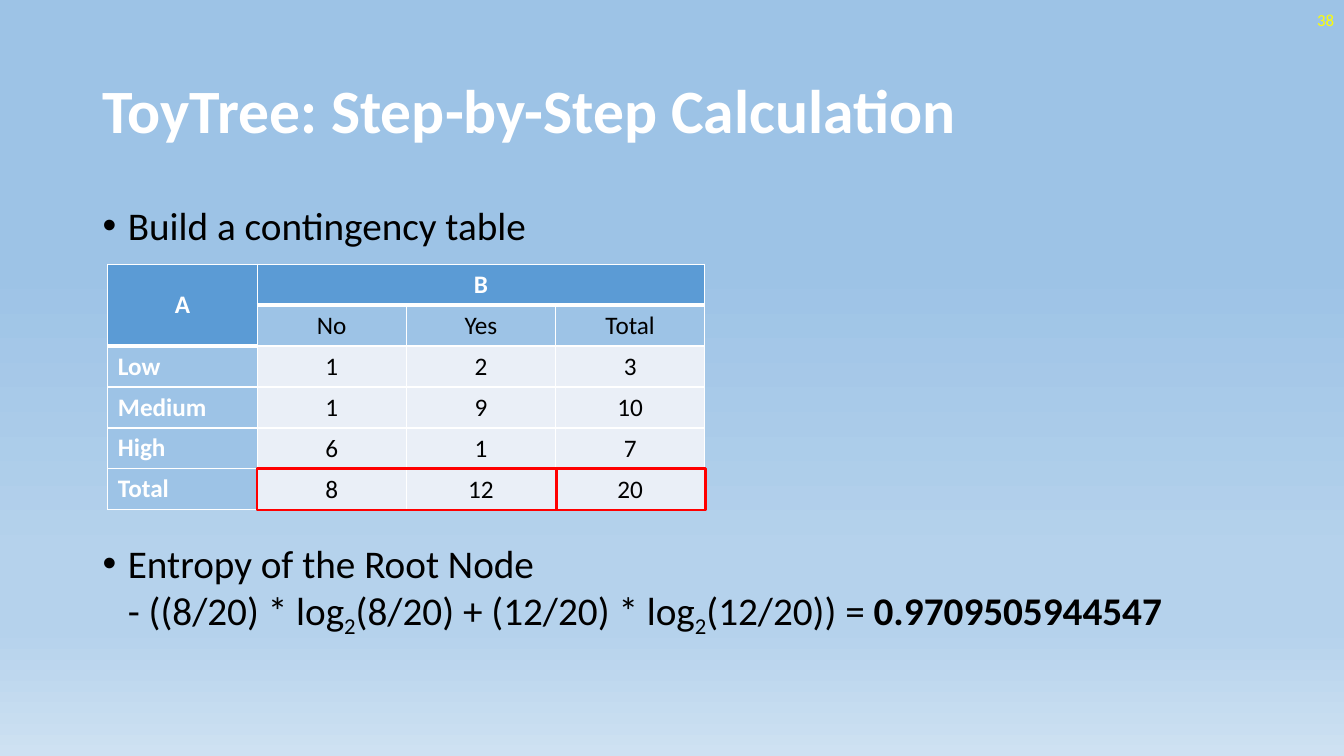
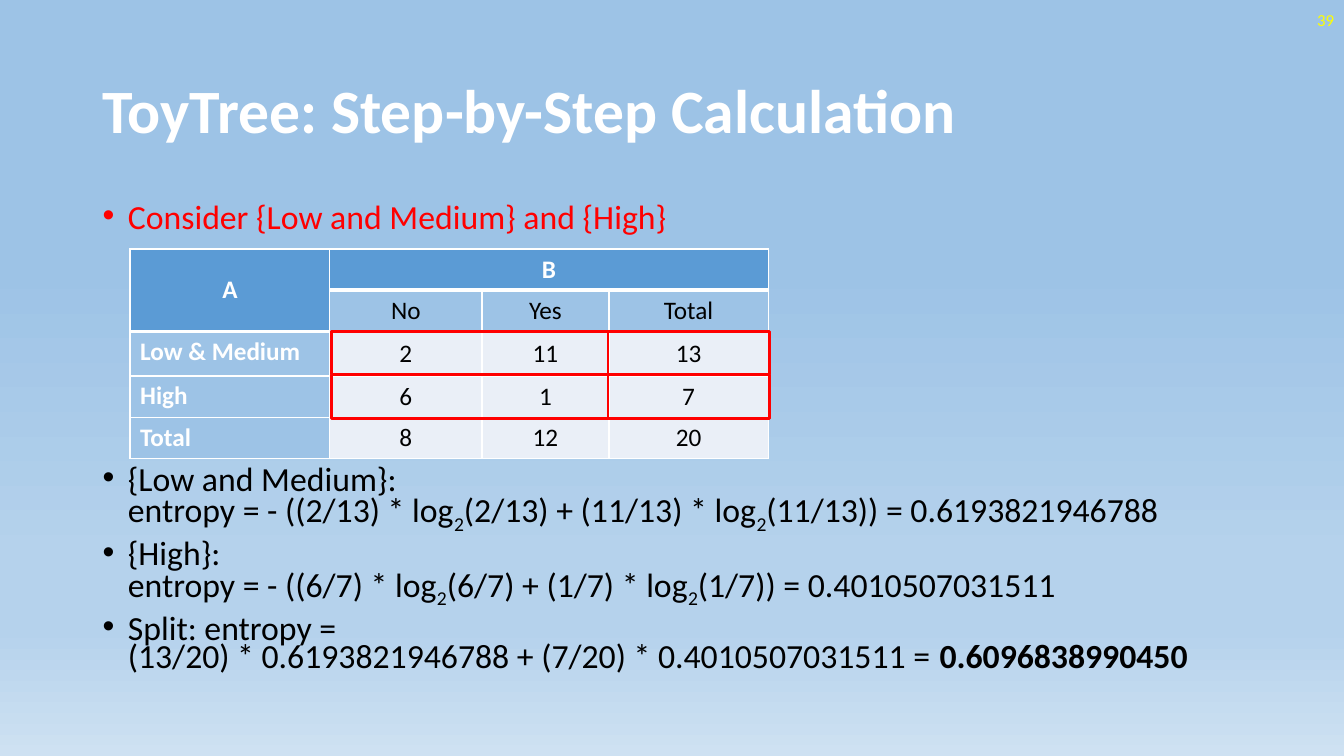
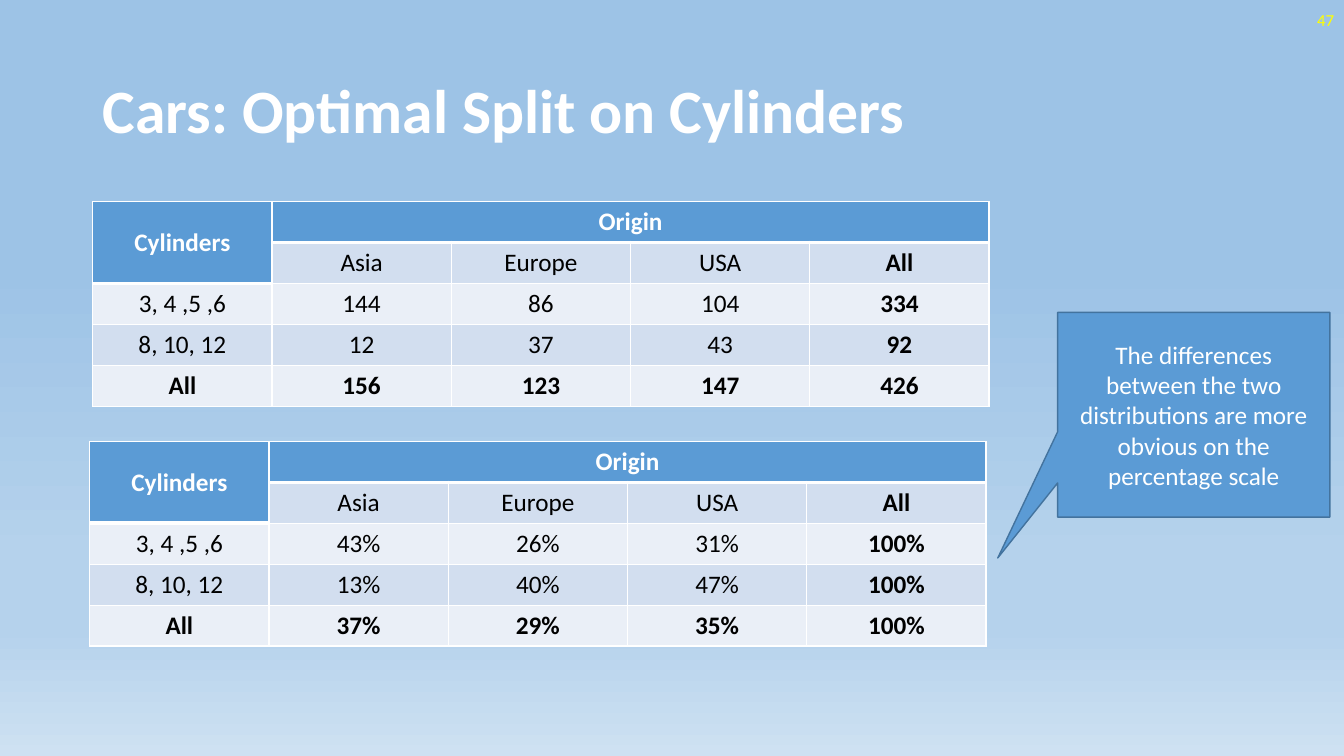
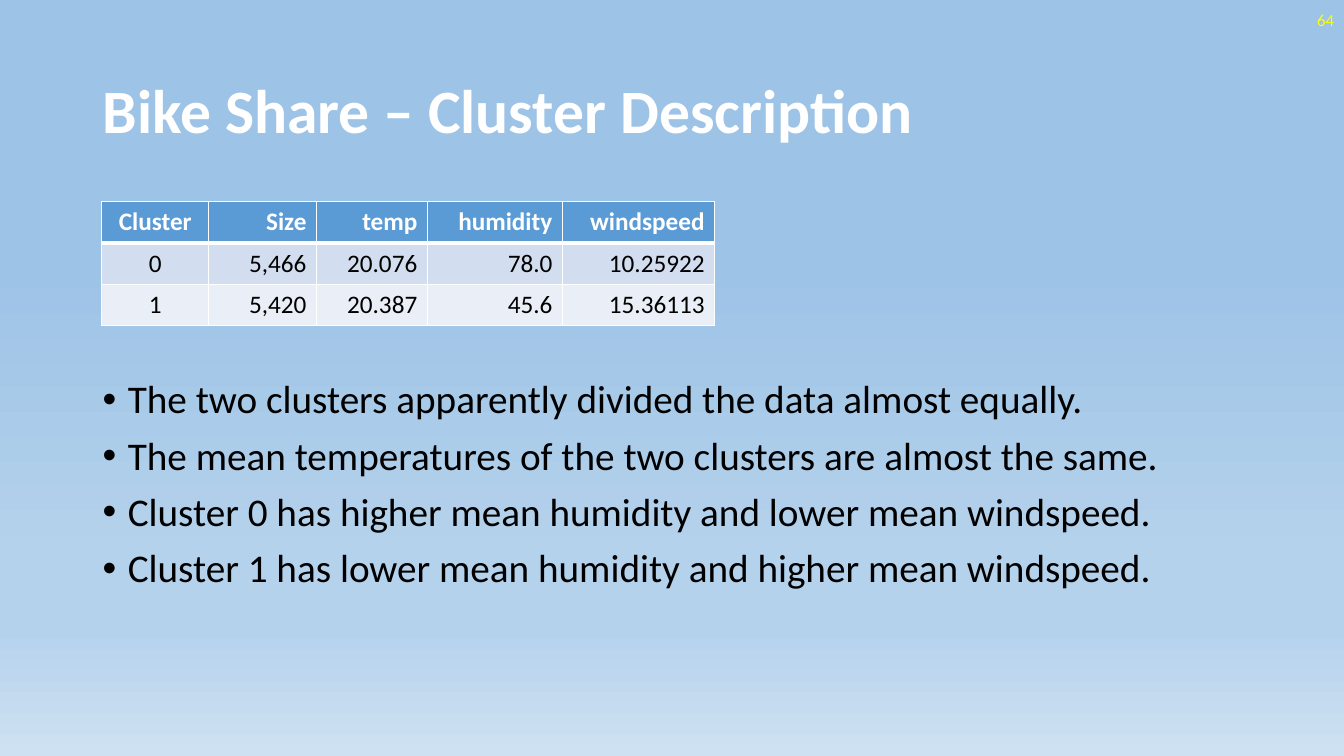
from lxml import etree
from pptx import Presentation
from pptx.dml.color import RGBColor
from pptx.enum.shapes import MSO_SHAPE
from pptx.enum.text import MSO_ANCHOR, PP_ALIGN
from pptx.oxml.ns import qn
from pptx.util import Inches, Pt

LEFT, MID, RIGHT = PP_ALIGN.LEFT, PP_ALIGN.CENTER, PP_ALIGN.RIGHT
TOP, MIDDLE = MSO_ANCHOR.TOP, MSO_ANCHOR.MIDDLE
RECT, CALLOUT = MSO_SHAPE.RECTANGLE, MSO_SHAPE.RECTANGULAR_CALLOUT

FONT = "Calibri"
COLORS = {
    "white": "FFFFFF", "black": "000000", "red": "FF0000", "yellow": "FFFF00",
    "blue": "5B9BD5", "edge": "43739E", "sky": "9DC3E6", "band": "D2DEEF",
    "pale": "EAEFF7", "haze": "B5D2EC", "mist": "CEE1F2",
}
STOPS = [(35, "sky"), (74, "haze"), (83, "haze"), (100, "mist")]
ROW = 0.41
RULE, THICK = 1, 3


def rgb(name):
    return RGBColor.from_string(COLORS[name])


def box(at):
    return [Inches(n) for n in at]


def style(para, size, color, bold=False, align=LEFT):
    para.alignment = align
    font = para.font
    font.name, font.size, font.bold = FONT, Pt(size), bold
    font.color.rgb = rgb(color)


def paint(master):
    """Give the master its vertical gradient."""
    fill = master.background.fill
    fill.gradient()
    fill.gradient_angle = 270
    stops = master.element.find(".//" + qn("a:gsLst"))
    stops.clear()
    for pos, name in STOPS:
        stop = etree.SubElement(stops, qn("a:gs"), pos=str(pos * 1000))
        etree.SubElement(stop, qn("a:srgbClr"), val=COLORS[name])


def frame(slide, at, anchor=TOP):
    text = slide.shapes.add_textbox(*box(at)).text_frame
    text.word_wrap = True
    text.vertical_anchor = anchor
    return text


def page(deck, title, number):
    slide = deck.slides.add_slide(deck.slide_layouts[6])
    para = frame(slide, (0.92, 0.4, 11.5, 1.45), MIDDLE).paragraphs[0]
    para.text = title
    para.line_spacing = 0.9
    style(para, 44, "white", True)
    para = frame(slide, (10.33, 0, 3, 0.4), MIDDLE).paragraphs[0]
    para.text = str(number)
    style(para, 12, "yellow", align=RIGHT)
    return slide


def write(para, text):
    """Add runs: |_x| is a subscript, |!x| is bold, a newline is a line break."""
    for i, line in enumerate(text.split("\n")):
        if i:
            para.add_line_break()
        for part in filter(None, line.split("|")):
            run = para.add_run()
            run.text = part.lstrip("_!")
            if part[0] == "_":
                run._r.get_or_add_rPr().set("baseline", "-25000")
            elif part[0] == "!":
                run.font.bold = True


def bullets(slide, top, items, size=28, color="black", lead=0.9):
    text = frame(slide, (0.92, top, 11.5, 6.76 - top))
    for i, item in enumerate(items):
        para = text.add_paragraph() if i else text.paragraphs[0]
        props = para._p.get_or_add_pPr()
        props.set("marL", str(Inches(0.25)))
        props.set("indent", str(-Inches(0.25)))
        etree.SubElement(props, qn("a:buFont"), typeface="Arial")
        etree.SubElement(props, qn("a:buChar"), char="•")
        para.line_spacing = lead
        para.space_before = Pt(10 if i else 0)
        style(para, size, color)
        write(para, item)


def border(cell, above, below):
    props = cell._tc.get_or_add_tcPr()
    sides = [("L", RULE), ("R", RULE), ("T", above), ("B", below)]
    for i, (side, width) in enumerate(sides):
        line = etree.Element(qn("a:ln" + side), w=str(Pt(width)))
        fill = etree.SubElement(line, qn("a:solidFill"))
        etree.SubElement(fill, qn("a:srgbClr"), val=COLORS["white"])
        props.insert(i, line)


def table(slide, left, top, cols, heights, rows, look, merged=True):
    """Fill a table; look(row, col) gives fill, text colour, bold and alignment."""
    size = (left, top, sum(cols), sum(heights))
    grid = slide.shapes.add_table(len(rows), len(cols), *box(size)).table
    grid.first_row = grid.horz_banding = False
    for col, width in zip(grid.columns, cols):
        col.width = Inches(width)
    for row, height in zip(grid.rows, heights):
        row.height = Inches(height)

    def rule(row, col):
        """Width of the line under a cell."""
        return THICK if row >= 0 and look(row, col)[0] == "blue" else RULE

    for r, row in enumerate(rows):
        for c, text in enumerate(row):
            fill, color, bold, align = look(r, c)
            cell = grid.cell(r, c)
            cell.fill.solid()
            cell.fill.fore_color.rgb = rgb(fill)
            cell.vertical_anchor = TOP if align == LEFT else MIDDLE
            border(cell, rule(r - 1, c), rule(r, c))
            if text:
                cell.text = text
                style(cell.text_frame.paragraphs[0], 18, color, bold, align)
    if merged:
        grid.cell(0, 0).merge(grid.cell(1, 0))
        grid.cell(0, 1).merge(grid.cell(0, len(cols) - 1))


def counts(row, col):
    """Look of the A by B tables."""
    if row == 0 or (row, col) == (1, 0):
        return "blue", "white", True, MID
    if row == 1:
        return "sky", "black", False, MID
    if col == 0:
        return "sky", "white", True, LEFT
    return "pale", "black", False, MID


def origins(row, col):
    """Look of the cylinder tables."""
    if row == 0 or (row, col) == (1, 0):
        return "blue", "white", True, MID
    return "band" if row % 2 else "pale", "black", row == 4 or col == 4, MID


def means(row, col):
    """Look of the cluster table."""
    align = RIGHT if col else MID
    if row == 0:
        return "blue", "white", True, align
    return "band" if row % 2 else "pale", "black", False, align


def shape(slide, kind, at, line, width):
    item = slide.shapes.add_shape(kind, *box(at))
    item.shadow.inherit = False
    item.line.color.rgb = rgb(line)
    item.line.width = Pt(width)
    return item


def mark(slide, *at):
    shape(slide, RECT, at, "red", 2).fill.background()


def note(slide, at, text):
    item = shape(slide, CALLOUT, at, "edge", 1)
    item.adjustments[0], item.adjustments[1] = -0.72, 0.7
    item.fill.solid()
    item.fill.fore_color.rgb = rgb("blue")
    item.text_frame.word_wrap = True
    item.text_frame.vertical_anchor = MIDDLE
    para = item.text_frame.paragraphs[0]
    para.text = text
    style(para, 18, "white", align=MID)


def root(deck):
    slide = page(deck, "ToyTree: Step-by-Step Calculation", 38)
    bullets(slide, 2, ["Build a contingency table"])
    bullets(slide, 5.35, [
        "Entropy of the Root Node\n- ((8/20) * log|_2|(8/20) + (12/20) * log|_2|"
        "(12/20)) = |!0.9709505944547"])
    table(slide, 1.07, 2.62, [1.48] * 4, [2.44 / 6] * 6, [
        ["A", "B", "", ""],
        ["", "No", "Yes", "Total"],
        ["Low", "1", "2", "3"],
        ["Medium", "1", "9", "10"],
        ["High", "6", "1", "7"],
        ["Total", "8", "12", "20"]], counts)
    mark(slide, 2.55, 4.65, 2.97, ROW)
    mark(slide, 5.52, 4.65, 1.48, ROW)


def split(deck):
    slide = page(deck, "ToyTree: Step-by-Step Calculation", 39)
    bullets(slide, 2, ["Consider {Low and Medium} and {High}"], 24.1, "red", 0.7)
    bullets(slide, 4.6, [
        "{Low and Medium}:\nentropy = - ((2/13) * log|_2|(2/13) + (11/13) * log"
        "|_2|(11/13)) = 0.6193821946788",
        "{High}:\nentropy = - ((6/7) * log|_2|(6/7) + (1/7) * log|_2|(1/7)) = "
        "0.4010507031511",
        "Split: entropy =\n(13/20) * 0.6193821946788 + (7/20) * 0.4010507031511"
        " = |!0.6096838990450"], 24.1, lead=0.7)
    table(slide, 1.29, 2.47, [1.98, 1.51, 1.26, 1.58],
          [ROW, ROW, 0.44, ROW, ROW], [
        ["A", "B", "", ""],
        ["", "No", "Yes", "Total"],
        ["Low & Medium", "2", "11", "13"],
        ["High", "6", "1", "7"],
        ["Total", "8", "12", "20"]], counts)
    for left, width in [(3.29, 2.74), (6.03, 1.6)]:
        for row in range(2):
            mark(slide, left, 3.29 + row * 0.43, width, 0.43)


def cars(deck):
    slide = page(deck, "Cars: Optimal Split on Cylinders", 47)
    tables = [
        (0.92, 2, [["144", "86", "104", "334"],
                   ["12", "37", "43", "92"],
                   ["156", "123", "147", "426"]]),
        (0.89, 4.38, [["43%", "26%", "31%", "100%"],
                      ["13%", "40%", "47%", "100%"],
                      ["37%", "29%", "35%", "100%"]]),
    ]
    for left, top, data in tables:
        rows = [["Cylinders", "Origin", "", "", ""],
                ["", "Asia", "Europe", "USA", "All"]]
        for name, line in zip(["3, 4 ,5 ,6", "8, 10, 12", "All"], data):
            rows.append([name] + line)
        table(slide, left, top, [8.89 / 5] * 5, [2.03 / 5] * 5, rows, origins)
    note(slide, (10.49, 3.1, 2.7, 2.03),
         "The differences between the two distributions are more obvious on the "
         "percentage scale")


def bikes(deck):
    slide = page(deck, "Bike Share – Cluster Description", 64)
    bullets(slide, 3.72, [
        "The two clusters apparently divided the data almost equally.",
        "The mean temperatures of the two clusters are almost the same.",
        "Cluster 0 has higher mean humidity and lower mean windspeed.",
        "Cluster 1 has lower mean humidity and higher mean windspeed."])
    table(slide, 1.01, 2, [1.06, 1.07, 1.1, 1.34, 1.51], [ROW] * 3, [
        ["Cluster", "Size", "temp", "humidity", "windspeed"],
        ["0", "5,466", "20.076", "78.0", "10.25922"],
        ["1", "5,420", "20.387", "45.6", "15.36113"]], means, merged=False)


def main():
    deck = Presentation()
    deck.slide_width, deck.slide_height = Inches(13.33), Inches(7.5)
    paint(deck.slide_master)
    for build in (root, split, cars, bikes):
        build(deck)
    deck.save("out.pptx")


if __name__ == "__main__":
    main()
